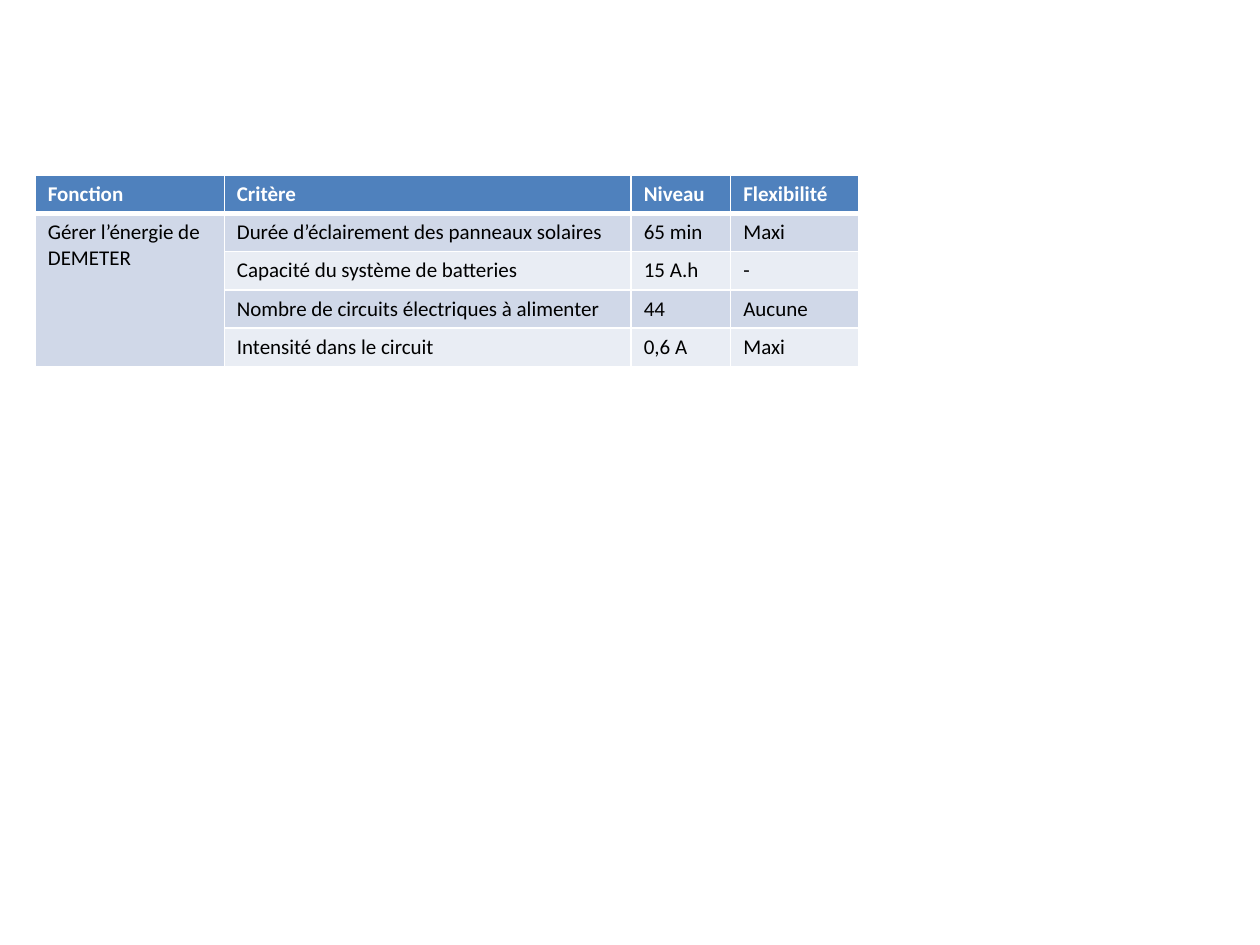
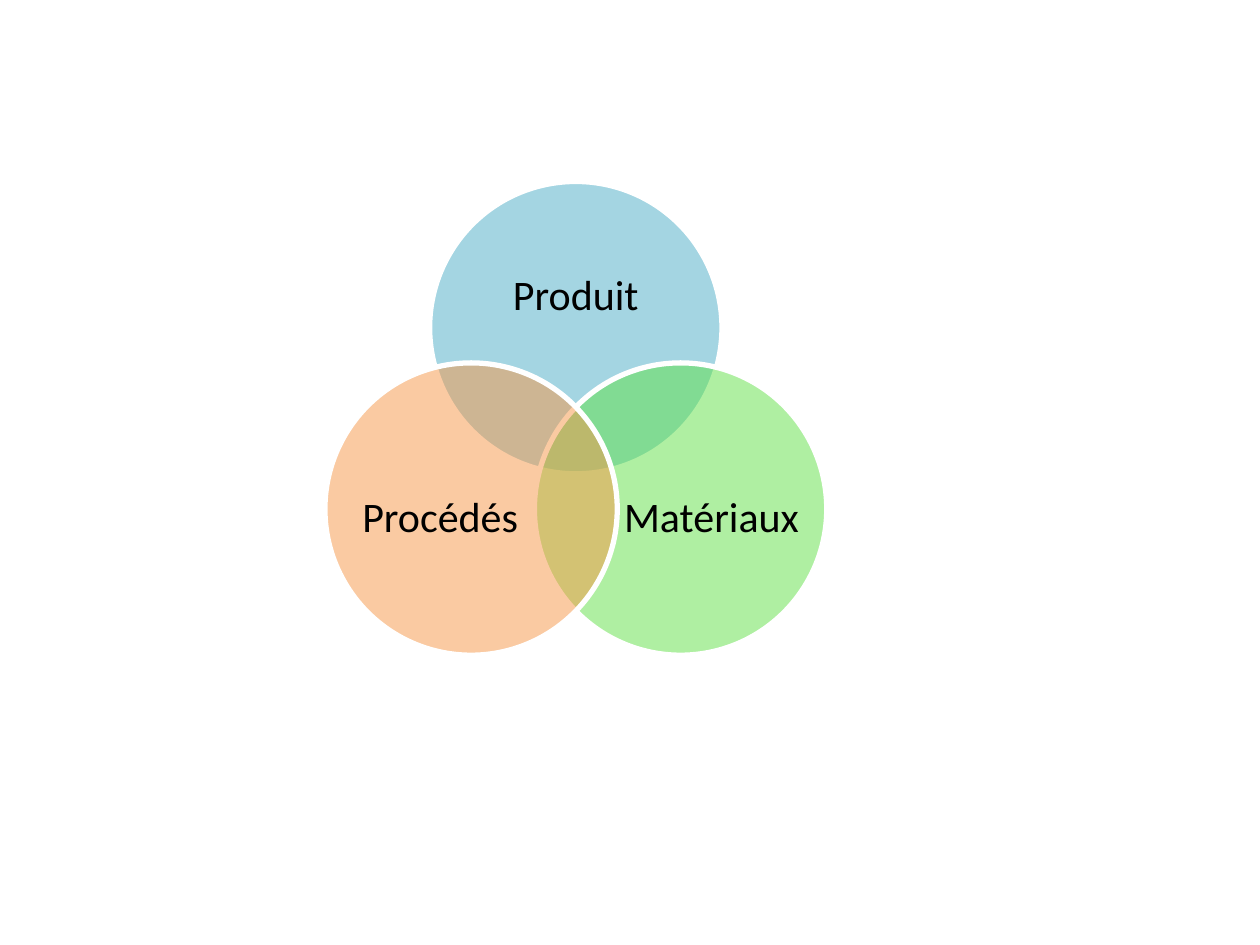
from math import cos, radians, sin

from lxml import etree
from pptx import Presentation
from pptx.dml.color import RGBColor
from pptx.enum.shapes import MSO_SHAPE
from pptx.enum.text import MSO_ANCHOR, PP_ALIGN
from pptx.oxml.ns import qn
from pptx.util import Inches, Pt

OVAL = MSO_SHAPE.OVAL
MIDDLE = MSO_ANCHOR.MIDDLE
CENTER = PP_ALIGN.CENTER

FONT = "Calibri"
BLANK = 6
COLORS = {
    "white": "FFFFFF",
    "black": "000000",
    "head": "4F81BD",
    "odd": "D0D8E8",
    "even": "E9EDF4",
    "blue": "4BACC6",
    "green": "60E146",
    "orange": "F79646",
}

WIDTHS = (1.5, 3.23, 0.79, 1.02)
ROW = 0.3
ROWS = (
    ("Fonction", "Critère", "Niveau", "Flexibilité"),
    ("Gérer l’énergie de DEMETER",
     "Durée d’éclairement des panneaux solaires", "65 min", "Maxi"),
    ("", "Capacité du système de batteries", "15 A.h", "-"),
    ("", "Nombre de circuits électriques à alimenter", "44", "Aucune"),
    ("", "Intensité dans le circuit", "0,6 A", "Maxi"),
)

# Name, colour, angle on the ring, label box relative to the circle
CIRCLES = (
    ("Produit", "blue", -90, (0.31, 0.4, 1.7, 1.04)),
    ("Matériaux", "green", 30, (0.71, 0.6, 1.39, 1.27)),
    ("Procédés", "orange", 150, (0.22, 0.6, 1.39, 1.27)),
)


def rgb(name):
    return RGBColor.from_string(COLORS[name])


def style(frame, size, color, bold=False):
    for para in frame.paragraphs:
        for run in para.runs:
            run.font.name = FONT
            run.font.size = Pt(size)
            run.font.bold = bold
            run.font.color.rgb = rgb(color)


def border(cell, side, width):
    props = cell._tc.get_or_add_tcPr()
    line = etree.SubElement(props, qn(f"a:ln{side}"), w=str(Pt(width)))
    fill = etree.SubElement(line, qn("a:solidFill"))
    etree.SubElement(fill, qn("a:srgbClr"), val=COLORS["white"])


def fill_cell(cell, text, row):
    """Style one cell; a thick rule parts the header from the body."""
    head = row == 0
    for side in "LRTB":
        thick = (row, side) in ((0, "B"), (1, "T"))
        border(cell, side, 3 if thick else 1)
    cell.fill.solid()
    cell.fill.fore_color.rgb = rgb("head" if head else "odd" if row % 2 else "even")
    cell.text_frame.text = text
    style(cell.text_frame, 12, "white" if head else "black", head)


def add_criteria(slide, left, top):
    frame = slide.shapes.add_table(
        len(ROWS), len(WIDTHS), Inches(left), Inches(top),
        Inches(sum(WIDTHS)), Inches(ROW * len(ROWS)))
    table = frame.table
    for column, width in zip(table.columns, WIDTHS):
        column.width = Inches(width)
    for r, texts in enumerate(ROWS):
        for c, text in enumerate(texts):
            fill_cell(table.cell(r, c), text, r)
    table.cell(1, 0).merge(table.cell(len(ROWS) - 1, 0))


def add_circle(shapes, left, top, size, color):
    disc = shapes.add_shape(
        OVAL, Inches(left), Inches(top), Inches(size), Inches(size))
    disc.shadow.inherit = False
    disc.fill.solid()
    disc.fill.fore_color.rgb = rgb(color)
    tint = disc.fill._xPr.find(qn("a:solidFill"))[0]
    etree.SubElement(tint, qn("a:alpha"), val="50000")
    disc.line.color.rgb = rgb("white")
    disc.line.width = Pt(3)


def add_label(shapes, text, left, top, width, height):
    box = shapes.add_textbox(
        Inches(left), Inches(top), Inches(width), Inches(height))
    frame = box.text_frame
    frame.word_wrap = True
    frame.vertical_anchor = MIDDLE
    frame.margin_left = frame.margin_right = 0
    frame.margin_top = frame.margin_bottom = 0
    frame.text = text
    para = frame.paragraphs[0]
    para.alignment = CENTER
    para.line_spacing = 0.9
    style(frame, 24, "black")


def add_venn(slide, mid_x, mid_y, ring, size):
    """Set overlapping circles evenly on a ring around the given centre."""
    shapes = slide.shapes.add_group_shape().shapes
    for name, color, angle, (dx, dy, width, height) in CIRCLES:
        turn = radians(angle)
        left = mid_x + ring * cos(turn) - size / 2
        top = mid_y + ring * sin(turn) - size / 2
        add_circle(shapes, left, top, size, color)
        add_label(shapes, name, left + dx, top + dy, width, height)


def main():
    deck = Presentation()
    deck.slide_width, deck.slide_height = Inches(10), Inches(7.5)
    blank = deck.slide_layouts[BLANK]
    add_criteria(deck.slides.add_slide(blank), 0.28, 1.39)
    add_venn(deck.slides.add_slide(blank), 4.57, 3.56, 0.96, 2.32)
    deck.save("out.pptx")


if __name__ == "__main__":
    main()
